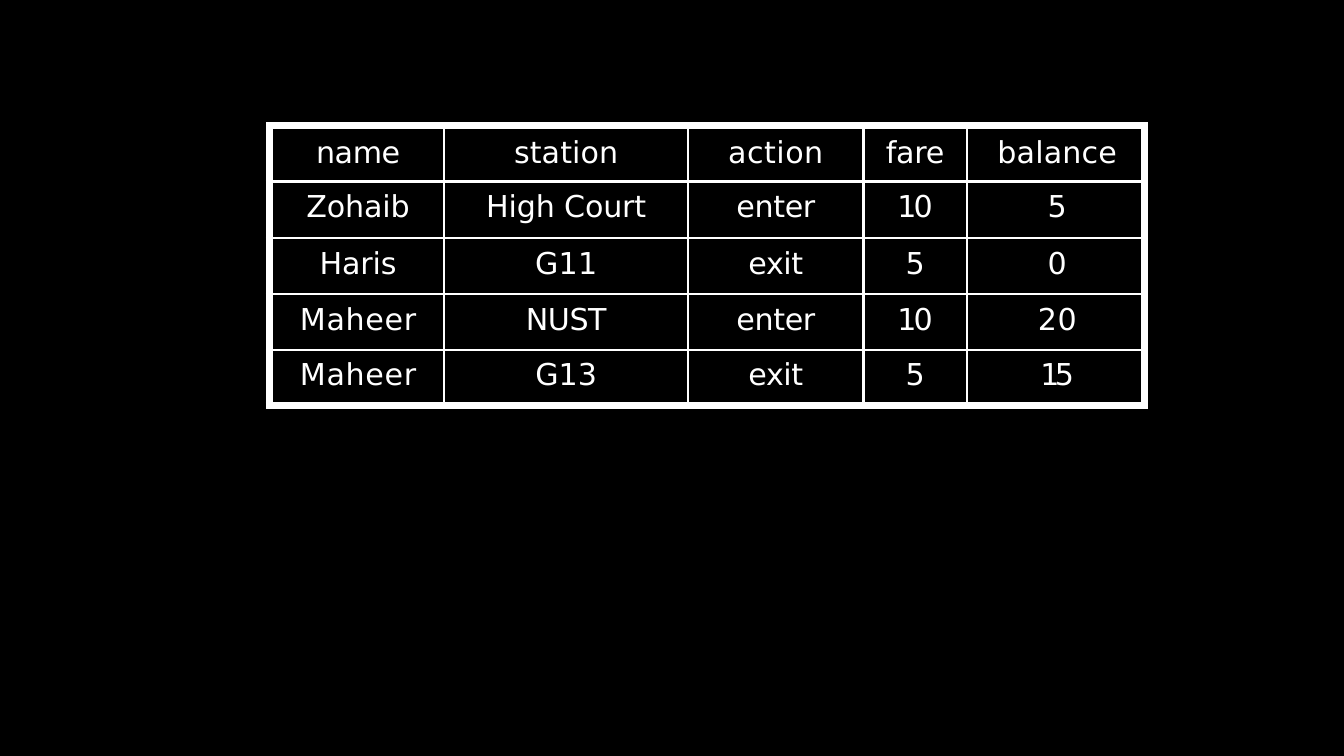
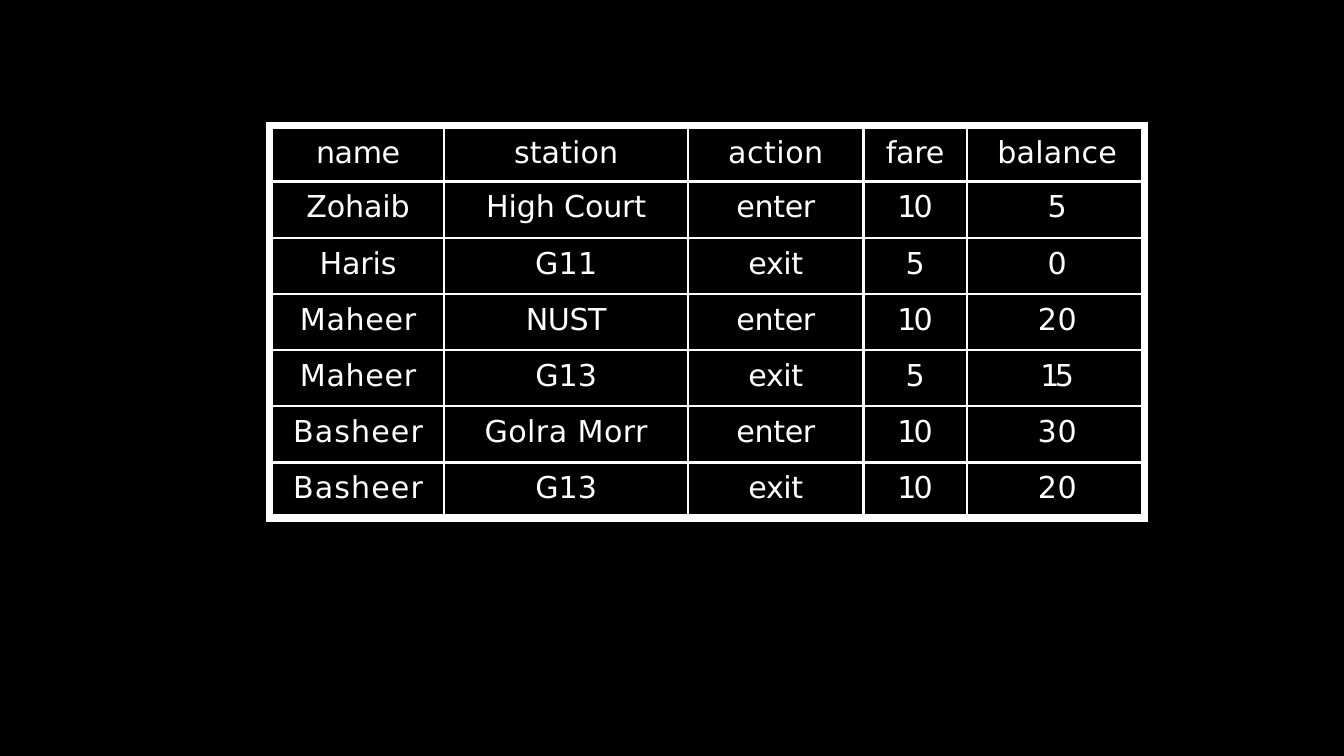
import pptx
import pptx.dml.color
import pptx.enum.shapes
import pptx.enum.text
import pptx.oxml
import pptx.oxml.ns
import pptx.util

Pt = pptx.util.Pt
BLACK, WHITE = "000000", "FFFFFF"
NO_STYLE = "{2D5ABB26-0587-4C30-8999-92F81FD0307C}"
DRAWING = pptx.oxml.ns.nsdecls("a")

TABLE_LEFT, TABLE_TOP = 313.2, 144
COLUMN_WIDTHS = [210.24, 287.28, 206.64, 121.68, 213.12]
BAND_HEIGHT, END_ROW_HEIGHT, ROW_HEIGHT = 7.92, 61.92, 66.24
HEADER_INSET, ROW_INSET, RAISED_INSET = 7.9, 10, 9.2
NAME_INDENT = 7.2
GRID_WIDTH, FRAME_WIDTH, FRAME_INSET = 3, 8.25, 4.32

HEADER = ["name", "station", "action", "fare", "balance"]
FIRST_TRIPS = [
    ["Zohaib", "High Court", "enter", "10", "5"],
    ["Haris", "G11", "exit", "5", "0"],
    ["Maheer", "NUST", "enter", "10", "20"],
    ["Maheer", "G13", "exit", "5", "15"],
]
LATER_TRIPS = [
    ["Basheer", "Golra Morr", "enter", "10", "30"],
    ["Basheer", "G13", "exit", "10", "20"],
]
LETTER_SPACING = {
    "name": -0.5, "station": 0.1, "action": 0.6, "fare": -0.3, "balance": 0.2,
    "Zohaib": -0.2, "Haris": -0.2, "Maheer": 0.8, "Basheer": 1.3,
    "High Court": -0.2, "G11": 0.2, "NUST": -0.5, "G13": -0.1, "Golra Morr": 0.5,
    "enter": -0.4, "exit": -0.5, "10": -3.5, "15": -5.4, "20": 0.7, "30": 0.9,
}


def rgb(value):
    return pptx.dml.color.RGBColor.from_string(value)


def write(frame, text, size=35.5, font="DejaVu Sans", color=WHITE, spacing=0):
    paragraph = frame.paragraphs[0]
    paragraph.alignment = pptx.enum.text.PP_ALIGN.CENTER
    run = paragraph.add_run()
    run.text = text
    run.font.size = Pt(size)
    run.font.name = font
    run.font.color.rgb = rgb(color)
    run.font._element.set("spc", str(round(spacing * 100)))


class Deck:
    def __init__(self, width, height):
        self.presentation = pptx.Presentation()
        self.presentation.slide_width = Pt(width)
        self.presentation.slide_height = Pt(height)
        backdrop = self.presentation.slide_master.background.fill
        backdrop.solid()
        backdrop.fore_color.rgb = rgb(BLACK)
        self.slide = None

    def add_slide(self):
        self.slide = self.presentation.slides.add_slide(self.presentation.slide_layouts[6])

    def style_cell(self, cell, fill, edges="", top=0, left=0):
        cell.margin_left, cell.margin_top = Pt(left), Pt(top)
        cell.margin_right = cell.margin_bottom = 0
        properties = cell._tc.get_or_add_tcPr()
        for edge in edges:
            properties.append(pptx.oxml.parse_xml(
                f'<a:ln{edge} {DRAWING} w="{Pt(GRID_WIDTH)}"><a:solidFill>'
                f'<a:srgbClr val="{WHITE}"/></a:solidFill></a:ln{edge}>'))
        cell.fill.solid()
        cell.fill.fore_color.rgb = rgb(fill)

    def band(self, table, row):
        for cell in table.rows[row].cells:
            self.style_cell(cell, WHITE)
            cell.text_frame.paragraphs[0]._p.get_or_add_endParaRPr().set("sz", "100")

    def frame_line(self, x, top, bottom):
        line = self.slide.shapes.add_connector(
            pptx.enum.shapes.MSO_CONNECTOR.STRAIGHT, Pt(x), Pt(top), Pt(x), Pt(bottom))
        line.line.color.rgb = rgb(WHITE)
        line.line.width = Pt(FRAME_WIDTH)
        line._element.spPr.append(pptx.oxml.parse_xml(f"<a:effectLst {DRAWING}/>"))

    def trip_table(self, trips, raised_rows):
        records = [HEADER] + trips
        heights = [BAND_HEIGHT, END_ROW_HEIGHT, *[ROW_HEIGHT] * (len(trips) - 1),
                   END_ROW_HEIGHT, BAND_HEIGHT]
        insets = [HEADER_INSET, *[ROW_INSET] * (len(trips) - raised_rows),
                  *[RAISED_INSET] * raised_rows]
        width, height = sum(COLUMN_WIDTHS), sum(heights)
        table = self.slide.shapes.add_table(
            len(heights), len(HEADER), Pt(TABLE_LEFT), Pt(TABLE_TOP), Pt(width), Pt(height)).table
        table.first_row = table.horz_banding = False
        table._tbl.tblPr.find(pptx.oxml.ns.qn("a:tableStyleId")).text = NO_STYLE
        for column, column_width in zip(table.columns, COLUMN_WIDTHS):
            column.width = Pt(column_width)
        for row, row_height in zip(table.rows, heights):
            row.height = Pt(row_height)

        for band_row in (0, len(heights) - 1):
            self.band(table, band_row)
        for r, (record, inset) in enumerate(zip(records, insets)):
            for c, value in enumerate(record):
                inner = {"L": c > 0, "R": c < len(record) - 1,
                         "T": r > 0, "B": r < len(records) - 1}
                edges = [edge for edge, shown in inner.items() if shown]
                cell = table.cell(r + 1, c)
                self.style_cell(cell, BLACK, edges, top=inset, left=0 if c else NAME_INDENT)
                write(cell.text_frame, value, spacing=LETTER_SPACING.get(value, 0))

        for x in (TABLE_LEFT + FRAME_INSET, TABLE_LEFT + width - FRAME_INSET):
            self.frame_line(x, TABLE_TOP, TABLE_TOP + height)


def main():
    deck = Deck(1583.28, 890.64)
    for trips, raised_rows in ((FIRST_TRIPS, 1), (FIRST_TRIPS + LATER_TRIPS, 2)):
        deck.add_slide()
        deck.trip_table(trips, raised_rows)
    deck.presentation.save("out.pptx")


if __name__ == "__main__":
    main()
